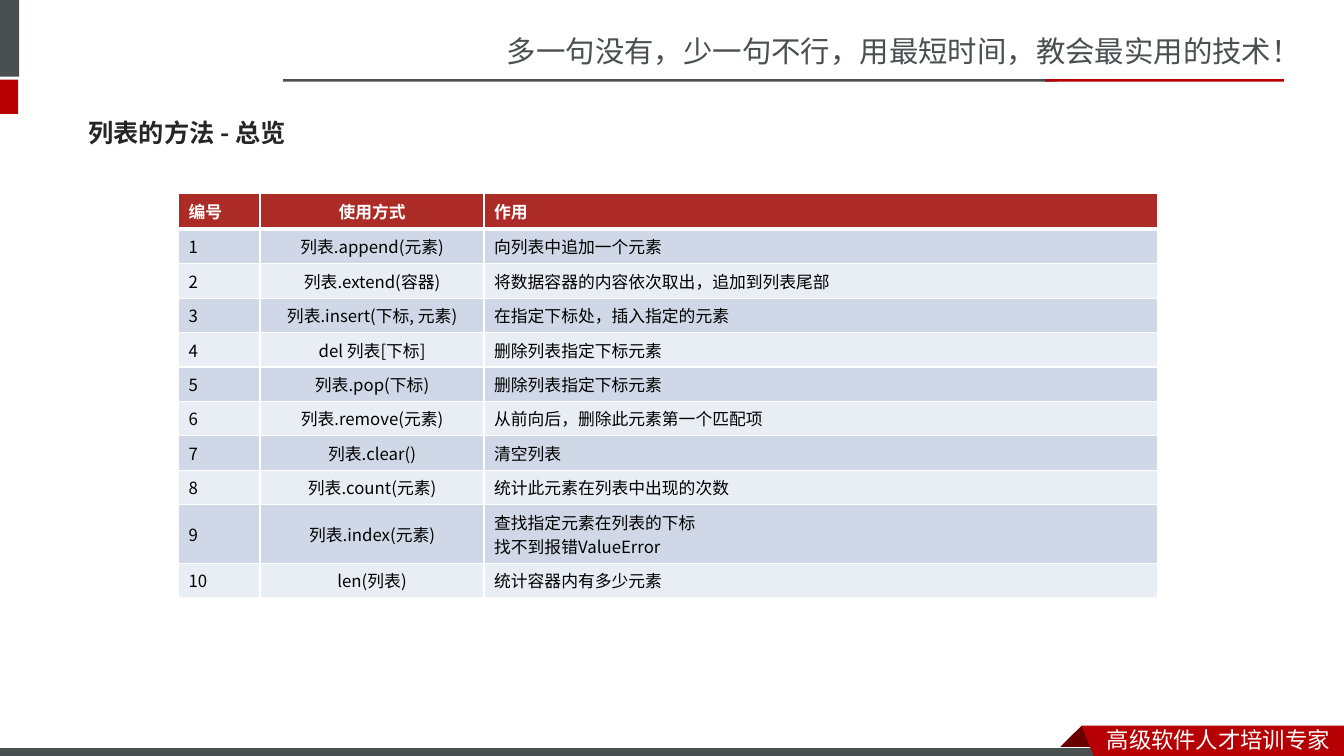
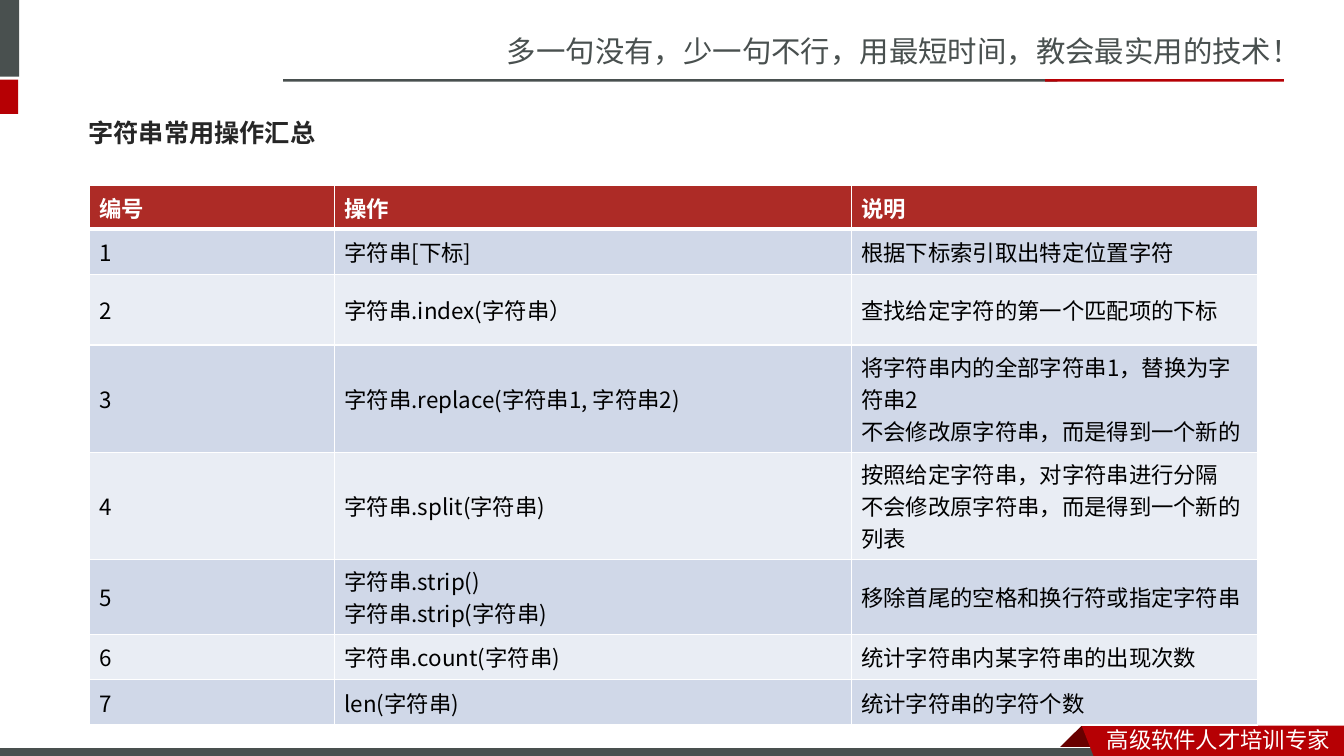
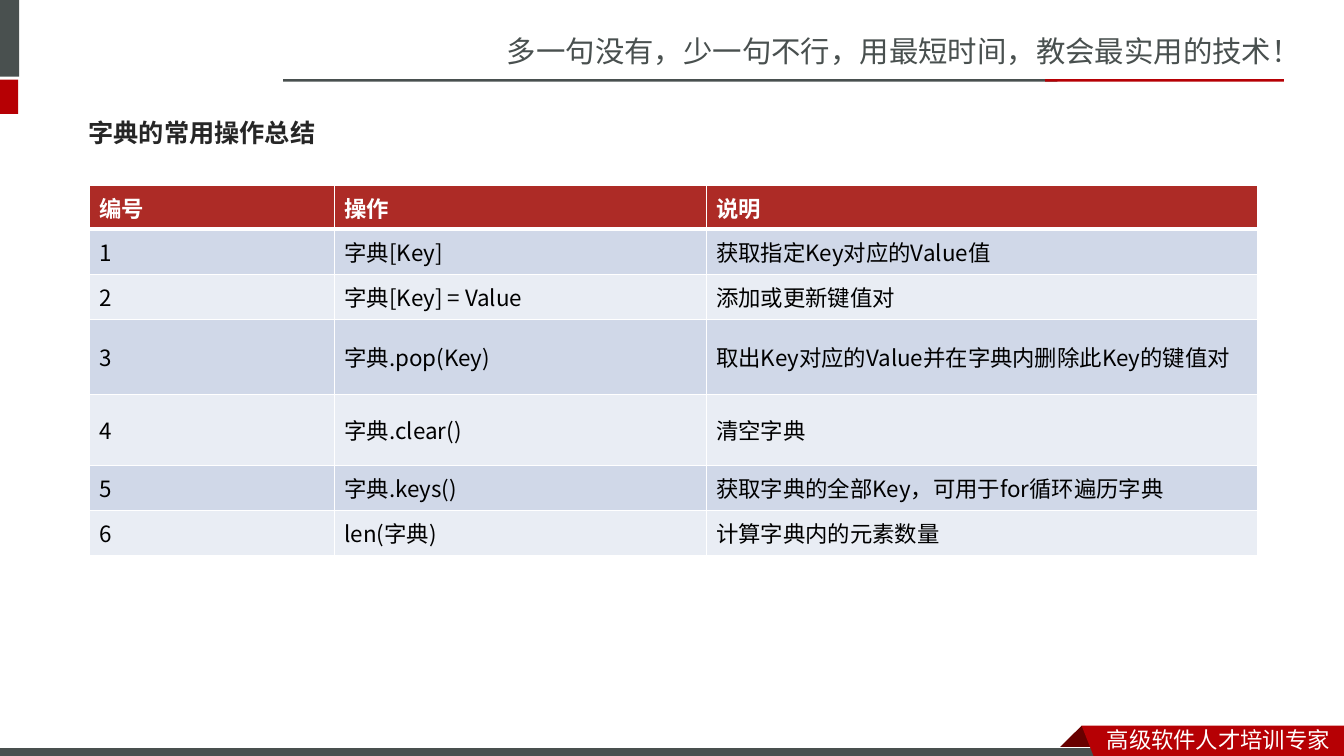
"""Build three summary slides on Python list, string and dict operations."""
from dataclasses import dataclass
from typing import NamedTuple

from pptx import Presentation
from pptx.dml.color import RGBColor
from pptx.enum import shapes, text
from pptx.oxml import ns
from pptx.util import Pt
from lxml import etree


@dataclass(frozen=True)
class Theme:
    gray: str = "49504F"
    red: str = "B60004"
    fold: str = "680000"
    white: str = "FFFFFF"
    ink: str = "262626"
    black: str = "000000"
    head: str = "AD2B26"
    bands: tuple[str, str] = ("D0D8E8", "E9EDF4")
    brand: str = "Noto Sans CJK SC"
    body: str = "Noto Sans CJK JP"
    motto: float = 21
    title: float = 18
    foot: float = 16


T = Theme()


class Box(NamedTuple):
    x: float
    y: float
    w: float
    h: float

    def size(self) -> tuple[Pt, ...]:
        return tuple(Pt(n) for n in self)


class Bar(NamedTuple):
    box: Box
    fill: str
    edge: str | None = None


class Flag(NamedTuple):
    spots: list[tuple[float, float]]
    fill: str


class Label(NamedTuple):
    box: Box
    words: str
    size: float
    font: str
    color: str
    bold: bool = False
    anchor: text.MSO_ANCHOR = text.MSO_ANCHOR.TOP


@dataclass(frozen=True)
class Page:
    title: str
    x: float
    y: float
    size: float
    cols: list[float]
    highs: list[float]
    heads: list[str]
    rows: list[tuple[str, str]]
    center: bool = False


BARS = [
    Bar(Box(-4.3, 0, 18, 54.7), T.gray),
    Bar(Box(-4.3, 56.9, 17.3, 24.5), T.red),
    Bar(Box(202.3, 56.6, 553, 1.7), T.gray),
    Bar(Box(746.6, 56.6, 170.6, 1.7), T.red),
]
FOLD = Flag([(772.6, 518.4), (788.4, 534.2), (787.7, 535), (757.4, 535), (756.7, 534.2)], T.fold)
BASE = Bar(Box(-0.7, 533.8, 792, 8.6), T.gray, T.white)
FLAG = Flag([(772.6, 518.4), (960, 518.4), (960, 542.9), (782, 542.2)], T.red)
LABELS = [
    Label(Box(355, 20.2, 605.5, 33.8), "多一句没有，少一句不行，用最短时间，教会最实用的技术！",
          T.motto, T.brand, T.gray),
    Label(Box(783.4, 514.8, 176.4, 26.6), "高级软件人才培训专家", T.foot, T.brand, T.white),
]

LOW, ROW, GAP, TWO, THREE = 24.6, 32.4, 50.4, 53.5, 76.6
PAGES = [
    Page("列表的方法 - 总览", 127.5, 138.4, 12, [58.3, 160, 481],
         [25.4] + [LOW] * 8 + [41.9, LOW],
         ["编号", "使用方式", "作用"],
         [("列表.append(元素)", "向列表中追加一个元素"),
          ("列表.extend(容器)", "将数据容器的内容依次取出，追加到列表尾部"),
          ("列表.insert(下标, 元素)", "在指定下标处，插入指定的元素"),
          ("del 列表[下标]", "删除列表指定下标元素"),
          ("列表.pop(下标)", "删除列表指定下标元素"),
          ("列表.remove(元素)", "从前向后，删除此元素第一个匹配项"),
          ("列表.clear()", "清空列表"),
          ("列表.count(元素)", "统计此元素在列表中出现的次数"),
          ("列表.index(元素)", "查找指定元素在列表的下标\n找不到报错ValueError"),
          ("len(列表)", "统计容器内有多少元素")],
         center=True),
    Page("字符串常用操作汇总", 63.6, 132.6, 16, [175.4, 369, 290],
         [31, ROW, GAP, THREE, THREE, TWO, ROW, ROW],
         ["编号", "操作", "说明"],
         [("字符串[下标]", "根据下标索引取出特定位置字符"),
          ("字符串.index(字符串）", "查找给定字符的第一个匹配项的下标"),
          ("字符串.replace(字符串1, 字符串2)",
           "将字符串内的全部字符串1，替换为字符串2\n不会修改原字符串，而是得到一个新的"),
          ("字符串.split(字符串)",
           "按照给定字符串，对字符串进行分隔\n不会修改原字符串，而是得到一个新的列表"),
          ("字符串.strip()\n字符串.strip(字符串)", "移除首尾的空格和换行符或指定字符串"),
          ("字符串.count(字符串)", "统计字符串内某字符串的出现次数"),
          ("len(字符串)", "统计字符串的字符个数")]),
    Page("字典的常用操作总结", 63.6, 132.6, 16, [175.4, 265.4, 393.6],
         [31, ROW, ROW, TWO, GAP, ROW, ROW],
         ["编号", "操作", "说明"],
         [("字典[Key]", "获取指定Key对应的Value值"),
          ("字典[Key] = Value", "添加或更新键值对"),
          ("字典.pop(Key)", "取出Key对应的Value并在字典内删除此Key的键值对"),
          ("字典.clear()", "清空字典"),
          ("字典.keys()", "获取字典的全部Key，可用于for循环遍历字典"),
          ("len(字典)", "计算字典内的元素数量")]),
]


def rgb(code: str) -> RGBColor:
    return RGBColor.from_string(code)


def paint(shape, fill: str, edge: str | None = None) -> None:
    shape.shadow.inherit = False
    shape.fill.solid()
    shape.fill.fore_color.rgb = rgb(fill)
    if edge:
        shape.line.color.rgb = rgb(edge)
        shape.line.width = Pt(0.75)
    else:
        shape.line.fill.background()


def write(frame, words: str, size: float, font: str, color: str, bold: bool) -> None:
    frame.text = words
    for para in frame.paragraphs:
        for run in para.runs:
            run.font.size = Pt(size)
            run.font.bold = bold
            run.font.color.rgb = rgb(color)
            run.font.name = font
            etree.SubElement(run.font._element, ns.qn("a:ea"), typeface=font)


def add_bar(slide, bar: Bar) -> None:
    shape = slide.shapes.add_shape(shapes.MSO_SHAPE.RECTANGLE, *bar.box.size())
    paint(shape, bar.fill, bar.edge)


def add_flag(slide, flag: Flag) -> None:
    first, *rest = [(Pt(x), Pt(y)) for x, y in flag.spots]
    pen = slide.shapes.build_freeform(*first)
    pen.add_line_segments(rest, close=True)
    paint(pen.convert_to_shape(), flag.fill)


def add_label(slide, label: Label) -> None:
    frame = slide.shapes.add_textbox(*label.box.size()).text_frame
    frame.word_wrap = True
    frame.vertical_anchor = label.anchor
    write(frame, label.words, label.size, label.font, label.color, label.bold)


def add_edges(cell, top: float, base: float) -> None:
    props = cell._tc.get_or_add_tcPr()
    for side, width in (("L", 1), ("R", 1), ("T", top), ("B", base)):
        line = etree.SubElement(props, ns.qn(f"a:ln{side}"), w=str(Pt(width)))
        fill = etree.SubElement(line, ns.qn("a:solidFill"))
        etree.SubElement(fill, ns.qn("a:srgbClr"), val=T.white)


def add_grid(slide, page: Page) -> None:
    rows = [page.heads] + [[str(n), *row] for n, row in enumerate(page.rows, 1)]
    box = Box(page.x, page.y, sum(page.cols), sum(page.highs))
    grid = slide.shapes.add_table(len(rows), len(page.cols), *box.size()).table
    for col, width in zip(grid.columns, page.cols):
        col.width = Pt(width)
    for r, (row, high) in enumerate(zip(rows, page.highs)):
        grid.rows[r].height = Pt(high)
        head = r == 0
        for c, words in enumerate(row):
            cell = grid.cell(r, c)
            add_edges(cell, 3 if r == 1 else 1, 3 if head else 1)
            cell.fill.solid()
            cell.fill.fore_color.rgb = rgb(T.head if head else T.bands[(r - 1) % 2])
            cell.vertical_anchor = text.MSO_ANCHOR.MIDDLE
            write(cell.text_frame, words, page.size, T.body, T.white if head else T.black, head)
            if page.center and c == 1:
                cell.text_frame.paragraphs[0].alignment = text.PP_ALIGN.CENTER


def add_frame(slide) -> None:
    for bar in BARS:
        add_bar(slide, bar)
    add_flag(slide, FOLD)
    add_bar(slide, BASE)
    add_flag(slide, FLAG)
    for label in LABELS:
        add_label(slide, label)


def main() -> None:
    deck = Presentation()
    deck.slide_width, deck.slide_height = Pt(960), Pt(540)
    for page in PAGES:
        slide = deck.slides.add_slide(deck.slide_layouts[6])
        add_frame(slide)
        add_label(slide, Label(Box(56.2, 74.2, 842.4, 41), page.title, T.title,
                               T.body, T.ink, True, text.MSO_ANCHOR.MIDDLE))
        add_grid(slide, page)
    deck.save("out.pptx")


if __name__ == "__main__":
    main()
